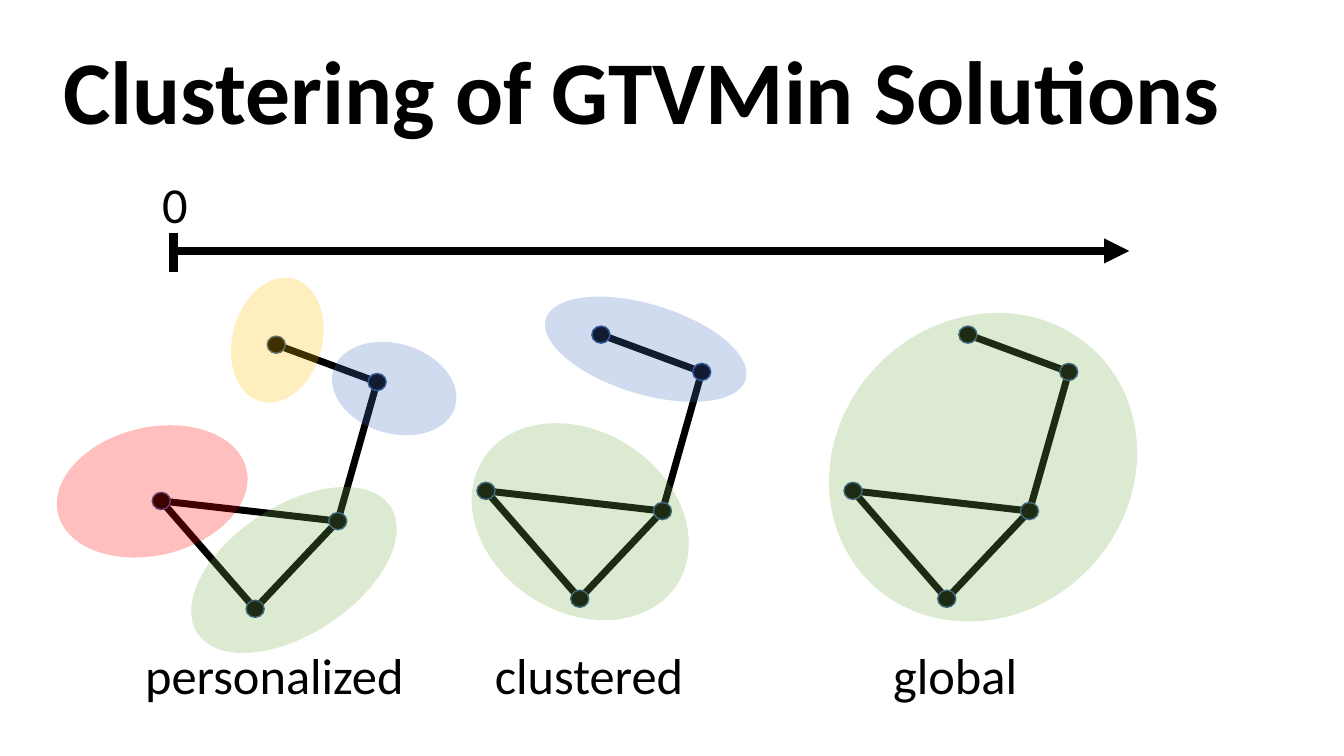
from pptx import Presentation
from pptx.dml.color import RGBColor
from pptx.enum import shapes, text
from pptx.oxml.ns import qn
from pptx.util import Inches, Pt
from lxml import etree

COLORS = {"black": "000000", "outline": "325491", "red": "FF0000",
          "green": "70AD47", "blue": "4472C4", "yellow": "FFC000"}
FONT = "Calibri"

# text, box (left, top, width, height), format
TITLE = ("Clustering of GTVMin Solutions", (0.53, 0.03, 12.8, 1.84),
         {"size": Pt(64), "bold": True})
LABEL_FORMAT = {"size": Pt(36), "bold": False}
LABELS = [
    ("0", (1.51, 1.67, 0.46, 0.71)),
    ("personalized", (1.34, 6.34, 2.79, 0.71)),
    ("clustered", (4.81, 6.34, 2.09, 0.71)),
    ("global", (8.76, 6.34, 1.44, 0.71)),
]

AXIS = ((1.71, 2.49), (11.2, 2.49))
AXIS_TICK = ((1.72, 2.31), (1.72, 2.7))
AXIS_WIDTH, EDGE_WIDTH = 6, 5

# node centres of the first graph; the others are shifted
NODES = {"top": (2.74, 3.42), "right": (3.74, 3.79), "hub": (3.35, 5.17),
         "left": (1.6, 4.97), "bottom": (2.53, 6.04)}
EDGES = [("top", "right"), ("hub", "right"), ("bottom", "hub"),
         ("left", "hub"), ("bottom", "left")]
GRAPH_SHIFTS = [(0, 0), (3.22, -0.1), (6.86, -0.1)]
NODE_SIZE = (0.18, 0.17)

# colour, box before rotation, rotation
CLUSTERS = [
    ("red", (0.55, 4.24, 1.92, 1.27), 346.7),
    ("green", (1.77, 5.02, 2.29, 1.27), 326.7),
    ("blue", (3.28, 3.41, 1.26, 0.89), 16.9),
    ("yellow", (2.12, 2.93, 1.26, 0.89), 104.7),
    ("blue", (5.37, 3.02, 2.07, 0.89), 16.9),
    ("green", (4.61, 4.28, 2.29, 1.79), 33.1),
    ("green", (8.15, 3.18, 3.2, 2.91), 134.5),
]
CLUSTER_ALPHA = 25


def color(name):
    return RGBColor.from_string(COLORS[name])


def inches(values):
    return [Inches(value) for value in values]


def add_text(parent, words, box, font_format, wrap):
    frame = parent.add_textbox(*inches(box)).text_frame
    frame.word_wrap = wrap
    frame.vertical_anchor = text.MSO_ANCHOR.MIDDLE if wrap else text.MSO_ANCHOR.TOP
    if not wrap:
        frame.auto_size = text.MSO_AUTO_SIZE.SHAPE_TO_FIT_TEXT
    paragraph = frame.paragraphs[0]
    run = paragraph.add_run()
    run.text = words
    for name, value in {"name": FONT, **font_format}.items():
        setattr(run.font, name, value)
    run.font.color.rgb = color("black")
    return paragraph


def add_line(parent, start, end, width):
    line = parent.add_connector(shapes.MSO_CONNECTOR.STRAIGHT,
                                *inches(start + end))
    line.line.color.rgb = color("black")
    line.line.width = Pt(width)
    etree.SubElement(line._element.spPr, qn("a:effectLst"))
    return line


def add_ellipse(parent, box, fill):
    ellipse = parent.add_shape(shapes.MSO_SHAPE.OVAL, *inches(box))
    ellipse.shadow.inherit = False
    ellipse.fill.solid()
    ellipse.fill.fore_color.rgb = color(fill)
    return ellipse


def add_graph(parent, shift):
    group = parent.add_group_shape().shapes
    centres = {name: (x + shift[0], y + shift[1])
               for name, (x, y) in NODES.items()}
    for start, end in EDGES:
        add_line(group, centres[start], centres[end], EDGE_WIDTH)
    width, height = NODE_SIZE
    for x, y in centres.values():
        node = add_ellipse(group, (x - width / 2, y - height / 2, width, height),
                           "black")
        node.line.color.rgb = color("outline")
        node.line.width = Pt(1)


def add_cluster(parent, fill, box, rotation):
    cluster = add_ellipse(parent, box, fill)
    cluster.rotation = rotation
    cluster.line.fill.background()
    fill_color = cluster._element.spPr.find(qn("a:solidFill"))[0]
    etree.SubElement(fill_color, qn("a:alpha"), val=str(CLUSTER_ALPHA * 1000))


def main():
    presentation = Presentation()
    presentation.slide_width, presentation.slide_height = inches((13.33, 7.5))
    slide = presentation.slides.add_slide(presentation.slide_layouts[6])
    parts = slide.shapes

    add_text(parts, *TITLE, wrap=True).line_spacing = 0.9
    axis = add_line(parts, *AXIS, AXIS_WIDTH)
    etree.SubElement(axis.line._get_or_add_ln(), qn("a:tailEnd"), type="triangle")
    add_line(parts, *AXIS_TICK, AXIS_WIDTH)

    for shift in GRAPH_SHIFTS:
        add_graph(parts, shift)
    for cluster in CLUSTERS:
        add_cluster(parts, *cluster)
    for words, box in LABELS:
        add_text(parts, words, box, LABEL_FORMAT, wrap=False)

    presentation.save("out.pptx")


if __name__ == "__main__":
    main()
